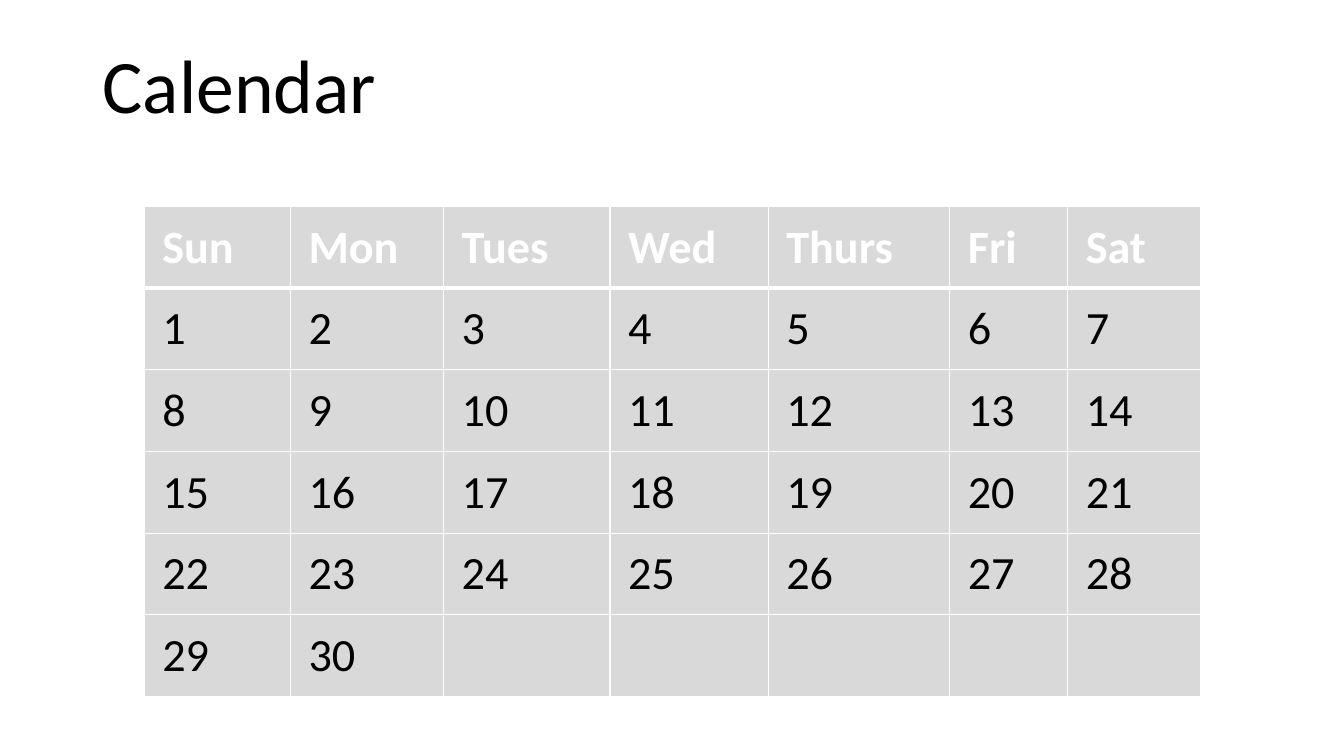
from lxml import etree
from pptx import Presentation
from pptx import util as u
from pptx.dml.color import RGBColor
from pptx.enum import text
from pptx.oxml import ns

FONT = "Calibri"
BLACK, WHITE, GREY = "000000", "FFFFFF", "D9D9D9"

DAYS = ["Sun", "Mon", "Tues", "Wed", "Thurs", "Fri", "Sat"]
DAY_WIDTHS = [1.45, 1.52, 1.65, 1.57, 1.8, 1.17, 1.32]
DAYS_IN_MONTH = 30
WEEKS = -(-DAYS_IN_MONTH // len(DAYS))
ROW_HEIGHT = 0.81


def colour(hex_string):
    return RGBColor.from_string(hex_string)


def format_text(paragraph, size, hex_string, bold=False):
    for run in paragraph.runs:
        run.font.name = FONT
        run.font.size = u.Pt(size)
        run.font.bold = bold
        run.font.color.rgb = colour(hex_string)


def add_title(slide, wording):
    title = slide.shapes.add_textbox(
        u.Inches(0.92), u.Inches(0.32), u.Inches(11.5), u.Inches(1.02))
    frame = title.text_frame
    frame.word_wrap = True
    frame.vertical_anchor = text.MSO_ANCHOR.BOTTOM
    frame.text = wording
    frame.paragraphs[0].line_spacing = 0.9
    format_text(frame.paragraphs[0], 54, BLACK)


def set_borders(cell, top, bottom):
    """Draw white cell borders; side borders are 1 pt wide."""
    properties = cell._tc.get_or_add_tcPr()
    sides = {"a:lnL": 1, "a:lnR": 1, "a:lnT": top, "a:lnB": bottom}
    for position, (tag, width) in enumerate(sides.items()):
        border = etree.Element(ns.qn(tag), w=str(u.Pt(width)))
        fill = etree.SubElement(border, ns.qn("a:solidFill"))
        etree.SubElement(fill, ns.qn("a:srgbClr"), val=WHITE)
        properties.insert(position, border)


def fill_cell(cell, wording, row):
    header = row == 0
    cell.fill.solid()
    cell.fill.fore_color.rgb = colour(GREY)
    cell.vertical_anchor = text.MSO_ANCHOR.MIDDLE
    cell.margin_left = cell.margin_right = u.Inches(0.18)
    cell.margin_top = cell.margin_bottom = u.Inches(0.09)
    if wording:
        cell.text_frame.text = wording
        format_text(cell.text_frame.paragraphs[0], 33,
                    WHITE if header else BLACK, bold=header)
    # The line between the header and the first week is thicker
    set_borders(cell, top=3 if row == 1 else 1, bottom=3 if header else 1)


def add_calendar(slide):
    rows = WEEKS + 1
    calendar = slide.shapes.add_table(
        rows, len(DAYS), u.Inches(1.43), u.Inches(2.05),
        u.Inches(sum(DAY_WIDTHS)), u.Inches(rows * ROW_HEIGHT)).table
    calendar.horz_banding = False
    for column, width in zip(calendar.columns, DAY_WIDTHS):
        column.width = u.Inches(width)
    for row in calendar.rows:
        row.height = u.Inches(ROW_HEIGHT)

    # Header row, then the dates week by week
    for weekday, name in enumerate(DAYS):
        fill_cell(calendar.cell(0, weekday), name, 0)
        for week in range(1, rows):
            date = (week - 1) * len(DAYS) + weekday + 1
            wording = str(date) if date <= DAYS_IN_MONTH else ""
            fill_cell(calendar.cell(week, weekday), wording, week)


def main():
    presentation = Presentation()
    presentation.slide_width = u.Inches(13.33)
    presentation.slide_height = u.Inches(7.5)
    slide = presentation.slides.add_slide(presentation.slide_layouts[6])
    add_title(slide, "Calendar")
    add_calendar(slide)
    presentation.save("out.pptx")


if __name__ == "__main__":
    main()
